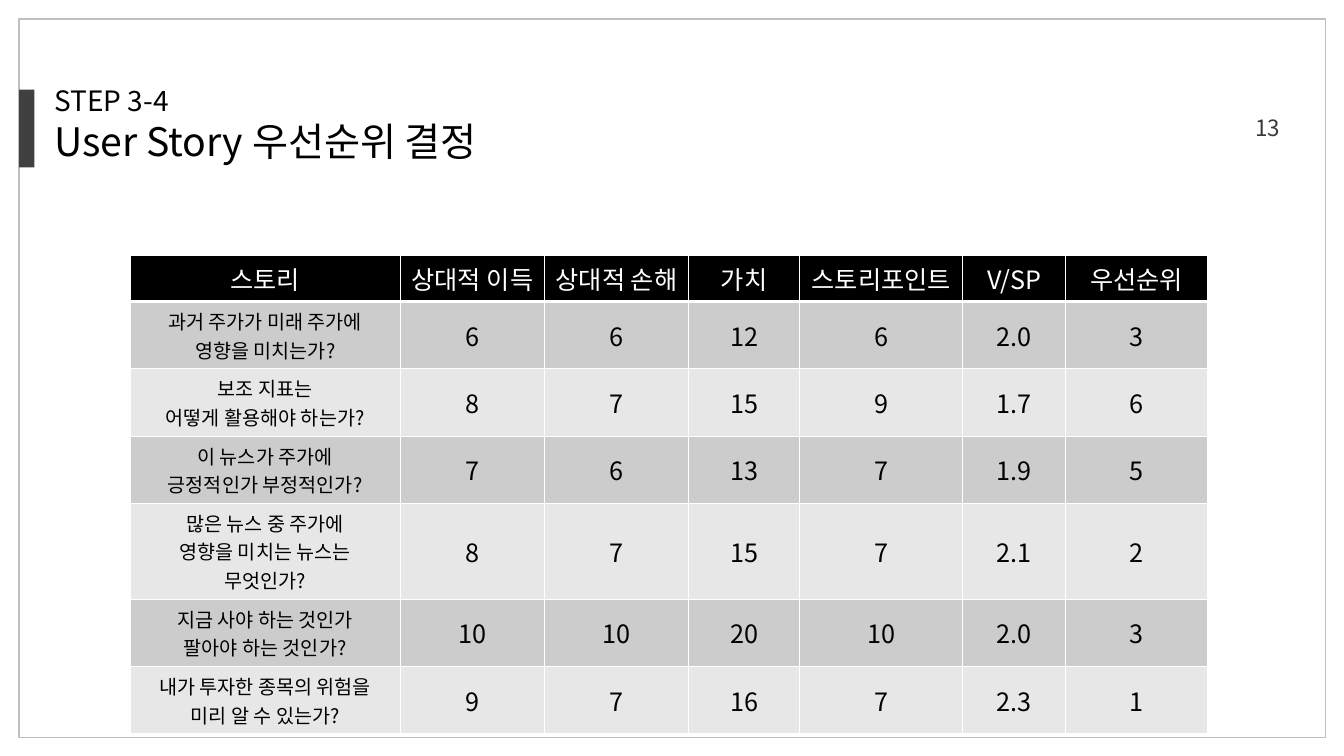
import pptx
import pptx.util
import pptx.dml.color
import pptx.enum.shapes
import pptx.enum.text
import pptx.oxml
import pptx.oxml.ns

Inches = pptx.util.Inches
RGBColor = pptx.dml.color.RGBColor
PP_ALIGN = pptx.enum.text.PP_ALIGN

FONT = "Noto Sans CJK KR"
BLACK = RGBColor(0x00, 0x00, 0x00)
WHITE = RGBColor(0xFF, 0xFF, 0xFF)
DARK_BAND = RGBColor(0xCC, 0xCC, 0xCC)
LIGHT_BAND = RGBColor(0xE7, 0xE7, 0xE7)
FRAME_GREY = RGBColor(0xBF, 0xBF, 0xBF)
ACCENT_GREY = RGBColor(0x40, 0x40, 0x40)
NUMBER_GREY = RGBColor(0x3B, 0x38, 0x38)

STORY_MARGIN = 0.15
COLUMN_WIDTHS = [2.68, 1.43, 1.43, 1.1, 1.62, 1.02, 1.41]
ROW_HEIGHTS = [0.37, 0.52, 0.52, 0.52, 0.56, 0.52, 0.52]
STORY_ROWS = [
    ["스토리", "상대적 이득", "상대적 손해", "가치", "스토리포인트", "V/SP", "우선순위"],
    ["과거 주가가 미래 주가에\n영향을 미치는가?", "6", "6", "12", "6", "2.0", "3"],
    ["보조 지표는\n어떻게 활용해야 하는가?", "8", "7", "15", "9", "1.7", "6"],
    ["이 뉴스가 주가에\n긍정적인가 부정적인가?", "7", "6", "13", "7", "1.9", "5"],
    ["많은 뉴스 중 주가에\n영향을 미치는 뉴스는 무엇인가?", "8", "7", "15", "7", "2.1", "2"],
    ["지금 사야 하는 것인가\n팔아야 하는 것인가?", "10", "10", "20", "10", "2.0", "3"],
    ["내가 투자한 종목의 위험을\n미리 알 수 있는가?", "9", "7", "16", "7", "2.3", "1"],
]


def make_line(tag, color, points, alpha=100):
    return pptx.oxml.parse_xml(
        f'<a:{tag} {pptx.oxml.ns.nsdecls("a")} w="{pptx.util.Pt(points)}"><a:solidFill>'
        f'<a:srgbClr val="{color}"><a:alpha val="{alpha * 1000}"/></a:srgbClr>'
        f'</a:solidFill><a:prstDash val="solid"/></a:{tag}>'
    )


def write_text(frame, text, sizes, color, align=PP_ALIGN.LEFT, outlined=False):
    frame.text = text
    for index, paragraph in enumerate(frame.paragraphs):
        paragraph.alignment = align
        run = paragraph.runs[0]
        run.font.size = pptx.util.Pt(sizes[min(index, len(sizes) - 1)])
        run.font.name = FONT
        run.font.color.rgb = color
        properties = run.font._element
        latin = properties.find(pptx.oxml.ns.qn("a:latin"))
        latin.addnext(pptx.oxml.parse_xml(
            f'<a:ea {pptx.oxml.ns.nsdecls("a")} typeface="{FONT}"/>'))
        if outlined:
            properties.insert(0, make_line("ln", BLACK, 0.75, alpha=50))


def add_label(slide, text, left, top, width, height, wrap=True, **text_format):
    label = slide.shapes.add_textbox(Inches(left), Inches(top), Inches(width), Inches(height))
    label.text_frame.word_wrap = wrap
    label.text_frame.auto_size = pptx.enum.text.MSO_AUTO_SIZE.SHAPE_TO_FIT_TEXT
    write_text(label.text_frame, text, **text_format)


def add_rectangle(slide, left, top, width, height, fill=None, outline=None):
    rectangle = slide.shapes.add_shape(
        pptx.enum.shapes.MSO_SHAPE.RECTANGLE,
        Inches(left), Inches(top), Inches(width), Inches(height))
    rectangle.shadow.inherit = False
    if fill is None:
        rectangle.fill.background()
    else:
        rectangle.fill.solid()
        rectangle.fill.fore_color.rgb = fill
    if outline is None:
        rectangle.line.fill.background()
    else:
        rectangle.line.color.rgb = outline
        rectangle.line.width = pptx.util.Pt(1)


def style_cell(cell, fill, top_border, bottom_border):
    cell.vertical_anchor = pptx.enum.text.MSO_ANCHOR.MIDDLE
    cell.fill.solid()
    cell.fill.fore_color.rgb = fill
    properties = cell._tc.get_or_add_tcPr()
    borders = [("lnL", 1), ("lnR", 1), ("lnT", top_border), ("lnB", bottom_border)]
    for position, (side, points) in enumerate(borders):
        properties.insert(position, make_line(side, WHITE, points))


def add_priority_table(slide, left, top):
    table = slide.shapes.add_table(
        len(ROW_HEIGHTS), len(COLUMN_WIDTHS), Inches(left), Inches(top),
        Inches(sum(COLUMN_WIDTHS)), Inches(sum(ROW_HEIGHTS))).table
    for column, width in zip(table.columns, COLUMN_WIDTHS):
        column.width = Inches(width)
    for row, height in zip(table.rows, ROW_HEIGHTS):
        row.height = Inches(height)
    for row_index, values in enumerate(STORY_ROWS):
        is_header = row_index == 0
        band = BLACK if is_header else DARK_BAND if row_index % 2 else LIGHT_BAND
        for column_index, value in enumerate(values):
            cell = table.cell(row_index, column_index)
            is_story = column_index == 0 and not is_header
            write_text(cell.text_frame, value, sizes=[14 if is_story else 18],
                       color=WHITE if is_header else BLACK, align=PP_ALIGN.CENTER)
            style_cell(cell, band, top_border=3 if row_index == 1 else 1,
                       bottom_border=3 if is_header else 1)
            if is_story:
                cell.margin_left = cell.margin_right = Inches(STORY_MARGIN)


def main():
    presentation = pptx.Presentation()
    presentation.slide_width = Inches(13.33)
    presentation.slide_height = Inches(7.5)
    slide = presentation.slides.add_slide(presentation.slide_layouts[6])
    add_priority_table(slide, 1.29, 2.53)
    add_rectangle(slide, 0.19, 0.19, 12.96, 7.13, outline=FRAME_GREY)
    add_rectangle(slide, 0.19, 0.89, 0.15, 0.77, fill=ACCENT_GREY)
    add_label(slide, "STEP 3-4\nUser Story 우선순위 결정", 0.44, 0.78, 5.31, 0.91,
              sizes=[20, 28], color=BLACK, outlined=True)
    add_label(slide, "13", 12.35, 1.08, 0.45, 0.37, wrap=False,
              sizes=[16], color=NUMBER_GREY)
    presentation.save("out.pptx")


if __name__ == "__main__":
    main()
